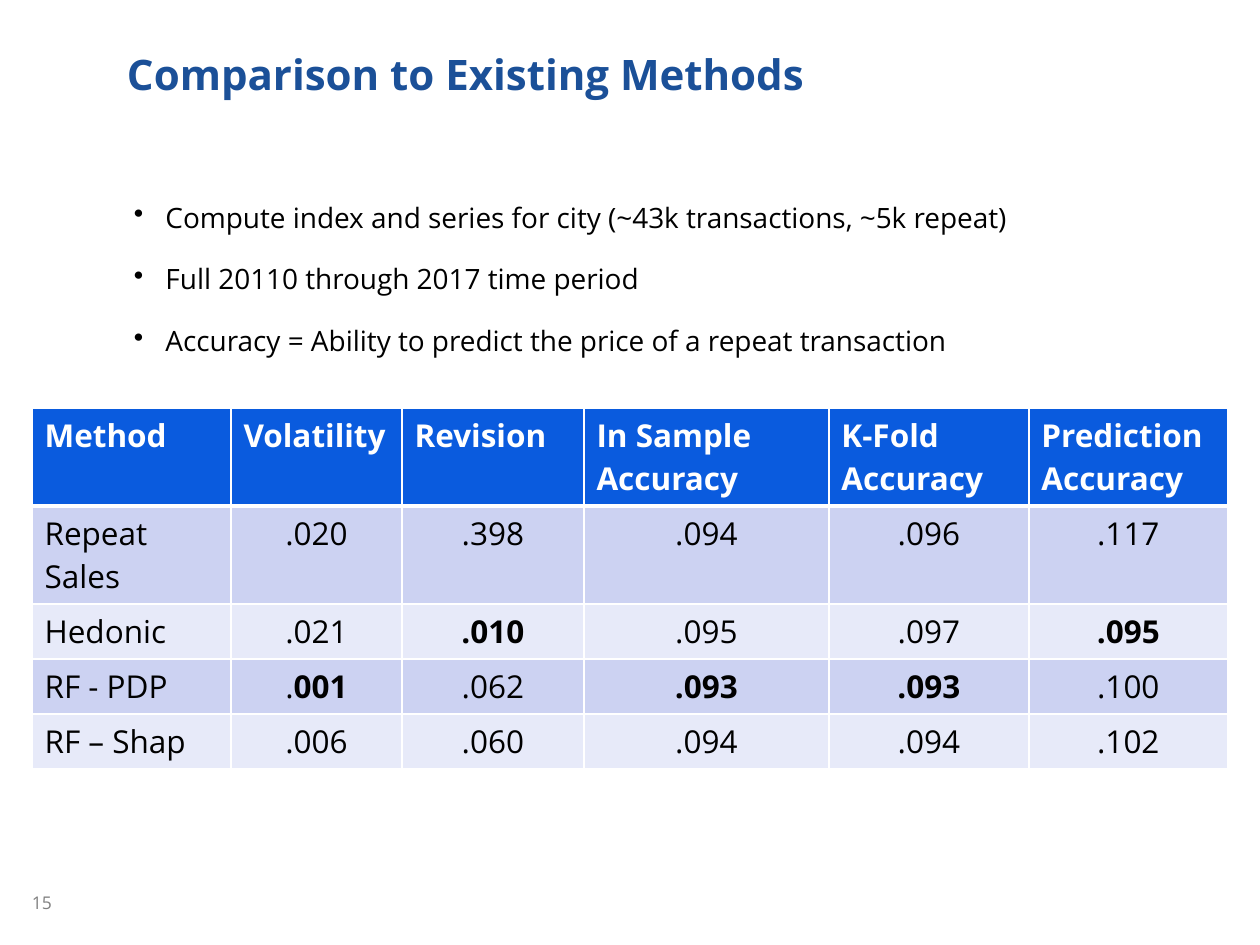
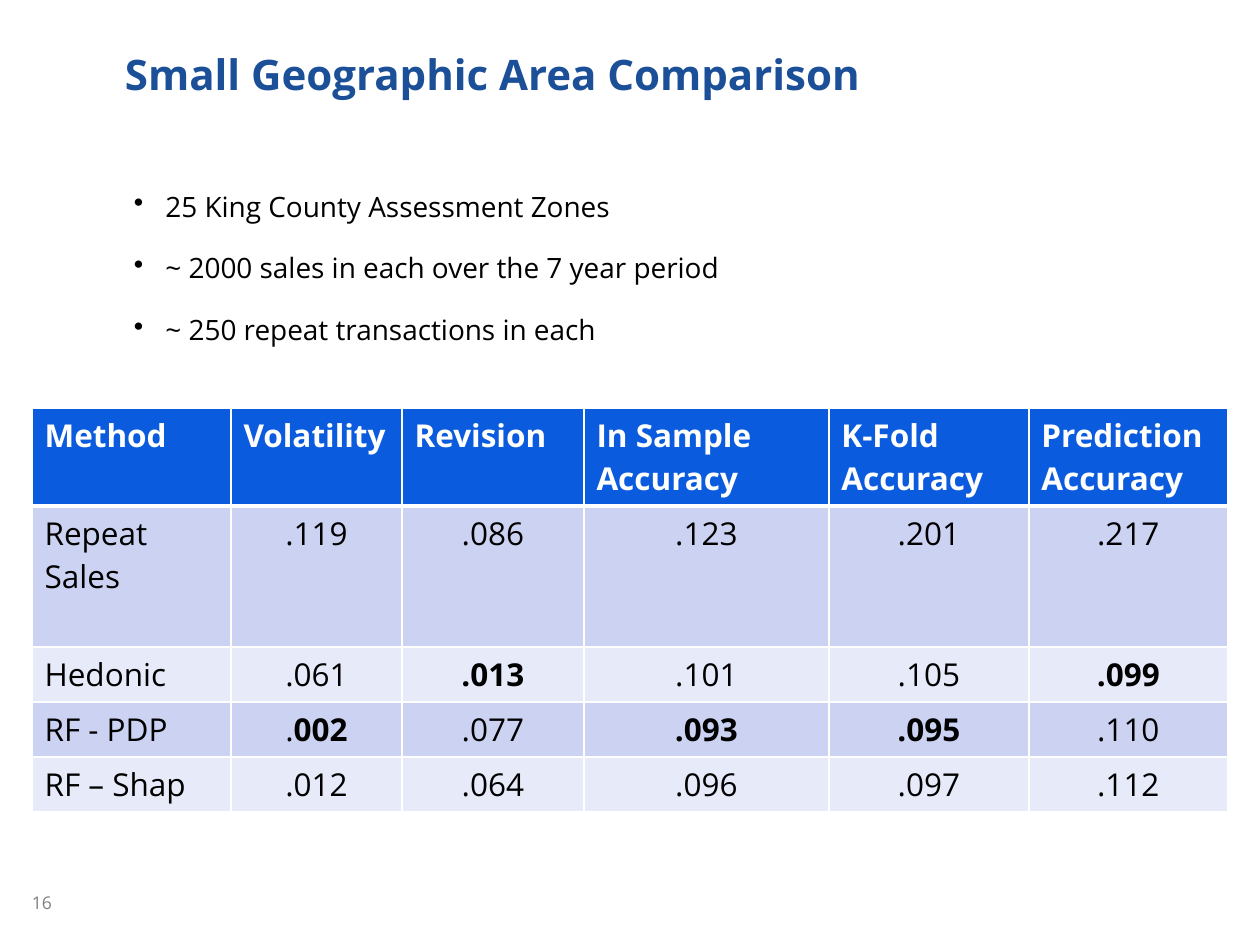
import pptx
import pptx.dml.color
import pptx.enum.text
import pptx.oxml.ns
import pptx.util
from lxml import etree

PX = 7257  # EMU in one px, 126 px to the inch
FONT = "Open Sans"
TITLE_BLUE, HEADER_BLUE = "1B5098", "0A5BDE"
BANDS = ["CCD2F2", "E7EAF9"]
BLACK, WHITE, GREY = "000000", "FFFFFF", "808080"
LEFT = pptx.enum.text.PP_ALIGN.LEFT
CENTER = pptx.enum.text.PP_ALIGN.CENTER
BOTTOM = pptx.enum.text.MSO_ANCHOR.BOTTOM
qn = pptx.oxml.ns.qn


def rgb(color):
    return pptx.dml.color.RGBColor.from_string(color)


def write(frame, text, size=18, color=BLACK, bold=False, align=LEFT,
          line=None, before=0, after=0, bullet=False):
    """One paragraph per line of text; an asterisk switches bold on or off."""
    for row, content in enumerate(text.split("\n")):
        paragraph = frame.add_paragraph() if row else frame.paragraphs[0]
        paragraph.alignment = align
        paragraph.line_spacing = line
        paragraph.space_before = pptx.util.Pt(before if row else 0)
        paragraph.space_after = pptx.util.Pt(after)
        if bullet:
            properties = paragraph._p.get_or_add_pPr()
            properties.set("marL", "228600")
            properties.set("indent", "-228600")
            etree.SubElement(properties, qn("a:buChar"), char="•")
        for part, words in enumerate(content.split("*")):
            if words:
                run = paragraph.add_run()
                run.text = words
                run.font.name = FONT
                run.font.size = pptx.util.Pt(size)
                run.font.bold = bold or part % 2 == 1
                run.font.color.rgb = rgb(color)


# Content of the slides
COLUMNS = ["Method", "Volatility", "Revision", "In Sample\nAccuracy",
           "K-Fold\nAccuracy", "Prediction\nAccuracy"]
COLUMN_WIDTHS = [199, 171, 182, 245, 200, 199]
METHODS = ["Repeat Sales", "Hedonic", "RF - PDP", "RF – Shap"]
HEADER_HEIGHT, ROW_HEIGHT = 98, 55

comparisons = [
    dict(number=15, title="Comparison to Existing Methods", title_left=124,
         points="Compute index and series for city (~43k transactions, ~5k repeat)\n"
                "Full 20110 through 2017 time period\n"
                "Accuracy = Ability to predict the price of a repeat transaction",
         points_top=132, first_row_height=98,
         scores=[[".020", ".398", ".094", ".096", ".117"],
                 [".021", "*.010", ".095", ".097", "*.095"],
                 [".*001", ".062", "*.093", "*.093", ".100"],
                 [".006", ".060", ".094", ".094", ".102"]]),
    dict(number=16, title="Small Geographic Area Comparison", title_left=122,
         points="25 King County Assessment Zones\n"
                "~ 2000 sales in each over the 7 year period\n"
                "~ 250 repeat transactions in each",
         points_top=121, first_row_height=141,
         scores=[[".119", ".086", ".123", ".201", ".217"],
                 [".061", "*.013", ".101", ".105", "*.099"],
                 [".*002", ".077", "*.093", "*.095", ".110"],
                 [".012", ".064", ".096", ".097", ".112"]]),
]

deck = pptx.Presentation()
deck.slide_width = pptx.util.Inches(10)
deck.slide_height = pptx.util.Inches(7.5)

for comparison in comparisons:
    slide = deck.slides.add_slide(deck.slide_layouts[6])

    # Page number, title and bullet points: box, insets (x, top, bottom), text
    text_blocks = [
        ((32, 879, 48, 34), (0, 0, 0), str(comparison["number"]),
         dict(size=10, color=GREY)),
        ((comparison["title_left"], 0, 1108, 101), (3, 1, 1), comparison["title"],
         dict(size=24, color=TITLE_BLUE, bold=True, line=0.9, before=6, after=3)),
        ((121, comparison["points_top"], 1108, 680), (13, 72, 6), comparison["points"],
         dict(size=16, line=0.9, before=12, after=6, bullet=True)),
    ]
    for box, (inset_x, inset_top, inset_bottom), text, style in text_blocks:
        frame = slide.shapes.add_textbox(*[length * PX for length in box]).text_frame
        frame.word_wrap = True
        frame.margin_left = frame.margin_right = inset_x * PX
        frame.margin_top, frame.margin_bottom = inset_top * PX, inset_bottom * PX
        if not style.get("bullet"):
            frame.vertical_anchor = BOTTOM
        write(frame, text, **style)

    # Table of methods and their scores
    grid = [COLUMNS] + [[method] + scores for method, scores
                        in zip(METHODS, comparison["scores"])]
    heights = [HEADER_HEIGHT, comparison["first_row_height"]] + [ROW_HEIGHT] * 3
    table = slide.shapes.add_table(
        len(grid), len(COLUMNS), 32 * PX, 408 * PX,
        sum(COLUMN_WIDTHS) * PX, sum(heights) * PX).table
    for column, width in zip(table.columns, COLUMN_WIDTHS):
        column.width = width * PX
    for row, (values, height) in enumerate(zip(grid, heights)):
        table.rows[row].height = height * PX
        for col, value in enumerate(values):
            cell = table.cell(row, col)
            if row == 0:
                write(cell.text_frame, value, color=WHITE, bold=True)
            else:
                write(cell.text_frame, value, align=CENTER if col else LEFT)

            # White rules, with a thick one below the header
            thick_side = {0: "lnB", 1: "lnT"}.get(row)
            for side in ("lnL", "lnR", "lnT", "lnB"):
                points = 3 if side == thick_side else 1
                rule = etree.SubElement(cell._tc.get_or_add_tcPr(), qn("a:" + side),
                                        w=str(pptx.util.Pt(points)))
                paint = etree.SubElement(rule, qn("a:solidFill"))
                etree.SubElement(paint, qn("a:srgbClr"), val=WHITE)
            cell.fill.solid()
            cell.fill.fore_color.rgb = rgb(BANDS[(row - 1) % 2] if row else HEADER_BLUE)

deck.save("out.pptx")
